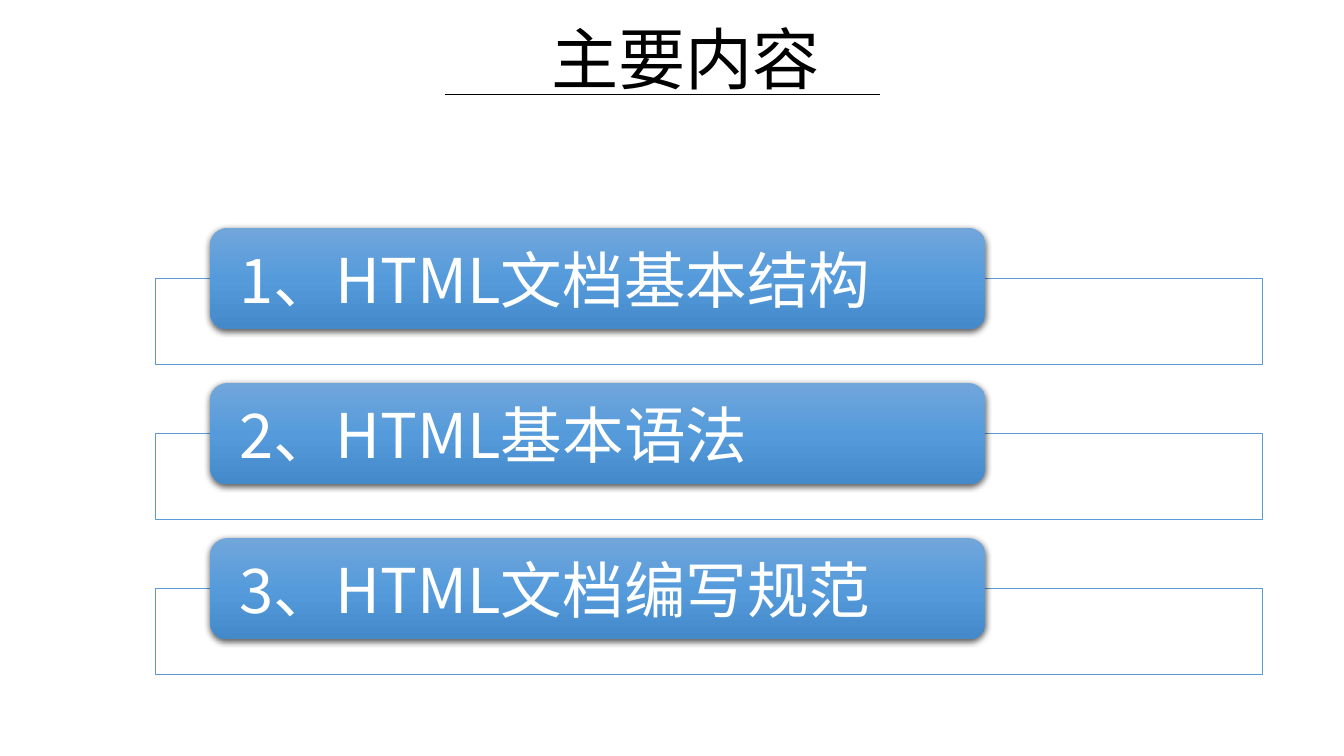
from lxml import etree
from pptx import Presentation
from pptx.dml.color import RGBColor
from pptx.enum.shapes import MSO_CONNECTOR, MSO_SHAPE
from pptx.enum.text import MSO_ANCHOR, MSO_AUTO_SIZE, PP_ALIGN
from pptx.oxml import parse_xml
from pptx.oxml.ns import nsdecls, qn
from pptx.util import Pt

RECT, ROUND_RECT = MSO_SHAPE.RECTANGLE, MSO_SHAPE.ROUNDED_RECTANGLE
STRAIGHT = MSO_CONNECTOR.STRAIGHT
MIDDLE, LEFT = MSO_ANCHOR.MIDDLE, PP_ALIGN.LEFT

FONT = "Noto Sans CJK SC"
COLORS = {
    "text": "000000",
    "white": "FFFFFF",
    "frame": "5B9BD5",
    "card_top": "71A6DB",
    "card_mid": "559BDB",
    "card_bottom": "448ACA",
}
TOPICS = ["1、HTML文档基本结构", "2、HTML基本语法", "3、HTML文档编写规范"]
CARD_TOP, PITCH = 162.8, 110.8


def rgb(name):
    return RGBColor.from_string(COLORS[name])


def add_text(tf, text, size, color):
    p = tf.paragraphs[0]
    p.alignment = LEFT
    r = p.add_run()
    r.text = text
    r.font.size = Pt(size)
    r.font.name = FONT
    r.font.color.rgb = rgb(color)
    etree.SubElement(r.font._element, qn("a:ea"), typeface=FONT)


prs = Presentation()
prs.slide_width, prs.slide_height = Pt(960), Pt(540)
s = prs.slides.add_slide(prs.slide_layouts[6])

# Title and its rule
rule = s.shapes.add_connector(STRAIGHT, Pt(318), Pt(67.2), Pt(628.6), Pt(67.2))
rule.line.color.rgb = rgb("text")
rule.line.width = Pt(0.5)
etree.SubElement(rule._element.spPr, qn("a:effectLst"))

title = s.shapes.add_textbox(Pt(386.6), Pt(8.6), Pt(206.6), Pt(65.5))
title.text_frame.word_wrap = False
title.text_frame.auto_size = MSO_AUTO_SIZE.SHAPE_TO_FIT_TEXT
add_text(title.text_frame, "主要内容", 48, "text")

# Topic cards, each on top of an outlined frame
for i, topic in enumerate(TOPICS):
    top = CARD_TOP + i * PITCH

    frame = s.shapes.add_shape(RECT, Pt(110.8), Pt(top + 36), Pt(790.6), Pt(61.4))
    frame.shadow.inherit = False
    frame.fill.solid()
    frame.fill.fore_color.rgb = rgb("white")
    frame.line.color.rgb = rgb("frame")
    frame.line.width = Pt(0.5)

    card = s.shapes.add_shape(ROUND_RECT, Pt(150.2), Pt(top), Pt(553.7), Pt(72.4))
    card.line.fill.background()
    stops = "".join(
        f'<a:gs pos="{pos}"><a:srgbClr val="{COLORS[name]}"/></a:gs>'
        for pos, name in ((0, "card_top"), (50000, "card_mid"), (100000, "card_bottom"))
    )
    gradient = parse_xml(
        f'<a:gradFill {nsdecls("a")} rotWithShape="1"><a:gsLst>{stops}</a:gsLst>'
        '<a:lin ang="5400000" scaled="0"/></a:gradFill>'
    )
    sp_pr = card._element.spPr
    sp_pr.find(qn("a:prstGeom")).addnext(gradient)
    card.shadow.inherit = False
    sp_pr.find(qn("a:effectLst")).append(parse_xml(
        f'<a:outerShdw {nsdecls("a")} blurRad="{Pt(4.5)}" dist="{Pt(1.5)}" dir="5400000" '
        f'algn="ctr" rotWithShape="0"><a:srgbClr val="{COLORS["text"]}">'
        '<a:alpha val="63000"/></a:srgbClr></a:outerShdw>'
    ))

    tf = card.text_frame
    tf.word_wrap = True
    tf.vertical_anchor = MIDDLE
    tf.margin_left = tf.margin_right = Pt(17.5)
    tf.margin_top = tf.margin_bottom = 0
    add_text(tf, topic, 44, "white")

prs.save("out.pptx")
